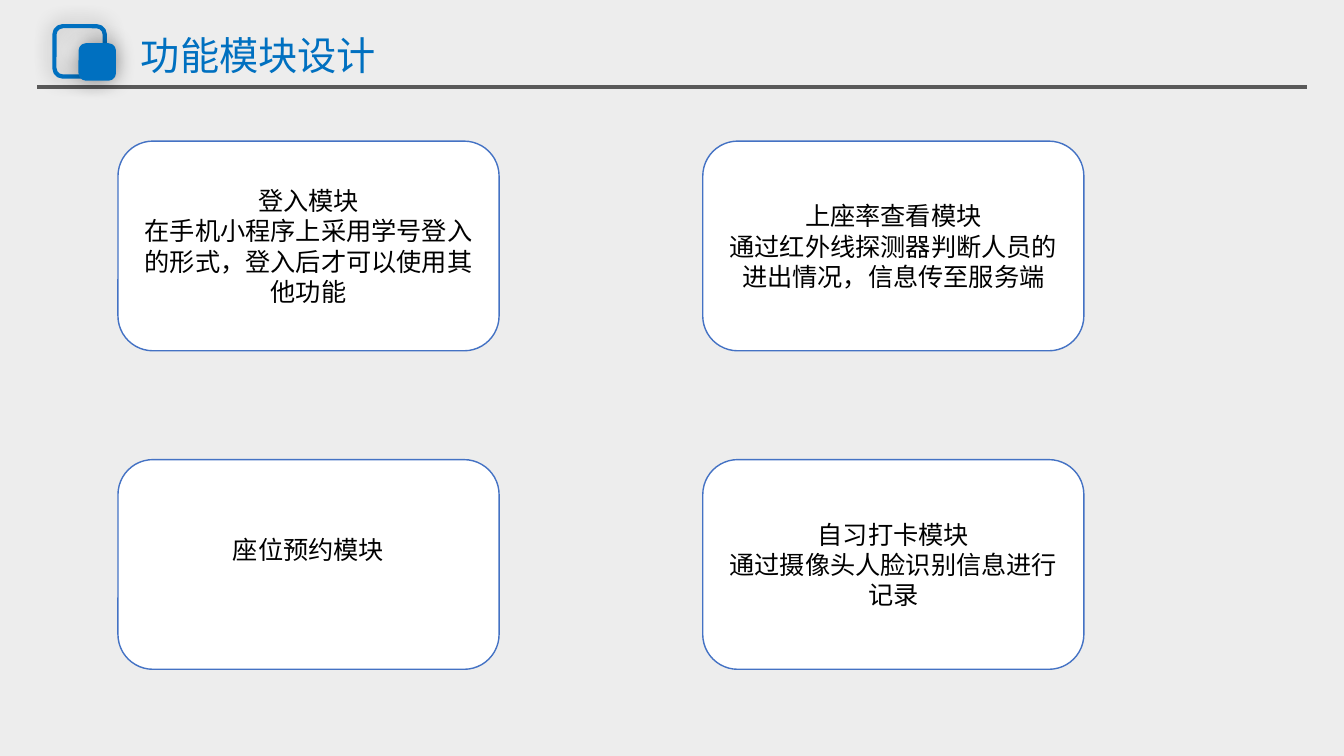
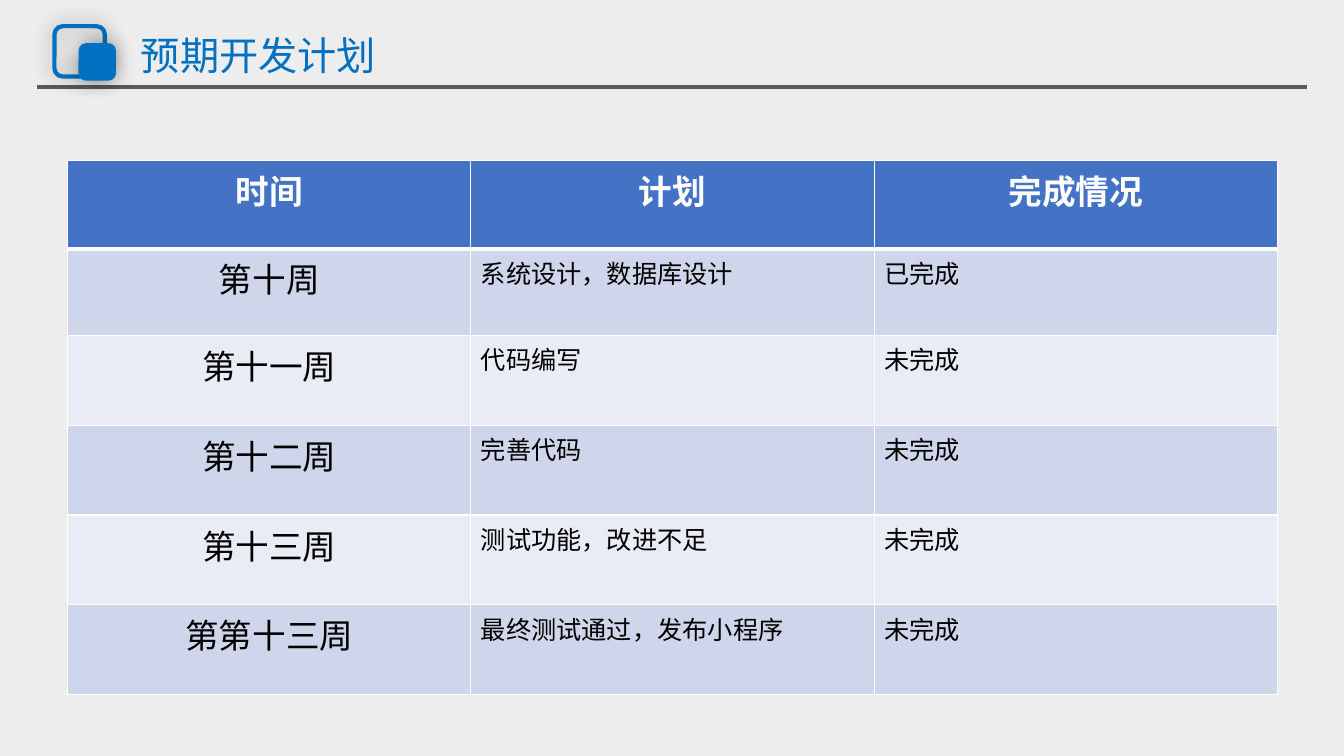
from dataclasses import dataclass

from lxml import etree
from pptx import Presentation
from pptx import util as u
from pptx.dml import color as dml
from pptx.enum import shapes, text
from pptx.oxml import ns

COLORS = {
    "background": "EDEDED",
    "accent": "0070C0",
    "rule": "595959",
    "outline": "4472C4",
    "white": "FFFFFF",
    "black": "000000",
    "band_dark": "CFD5EA",
    "band_light": "E9EBF5",
}
FONT = "Arial"
CENTER = text.PP_ALIGN.CENTER
LEFT = text.PP_ALIGN.LEFT

CARD_LEFT, CARD_TOP = 1.17, 1.4
CARD_WIDTH, CARD_HEIGHT = 3.78, 2.08
CARD_STEP_X, CARD_STEP_Y = 5.8, 3.16

COLUMN_WIDTH = 4
ROW_HEIGHTS = (0.88, 0.86, 0.89, 0.89, 0.89, 0.89)
TABLE_HEADER = ("时间", "计划", "完成情况")


@dataclass(frozen=True)
class Card:
    heading: str
    detail: str = ""


@dataclass(frozen=True)
class Task:
    week: str
    plan: str
    status: str = "未完成"


@dataclass(frozen=True)
class Square:
    left: float
    top: float
    size: float
    fill: str | None = None


LOGO_SQUARES = (Square(0.54, 0.26, 0.5), Square(0.8, 0.45, 0.33, "accent"))

CARDS = (
    Card("登入模块", "在手机小程序上采用学号登入的形式，登入后才可以使用其他功能"),
    Card("上座率查看模块", "通过红外线探测器判断人员的进出情况，信息传至服务端"),
    Card("座位预约模块"),
    Card("自习打卡模块", "通过摄像头人脸识别信息进行记录"),
)

TASKS = (
    Task("第十周", "系统设计，数据库设计", "已完成"),
    Task("第十一周", "代码编写"),
    Task("第十二周", "完善代码"),
    Task("第十三周", "测试功能，改进不足"),
    Task("第第十三周", "最终测试通过，发布小程序"),
)


def rgb(name: str) -> dml.RGBColor:
    return dml.RGBColor.from_string(COLORS[name])


def write(paragraph, content: str, *, size: float = 18, color: str = "black",
          bold: bool = False, align=LEFT, spacing: float = 1.0) -> None:
    paragraph.alignment = align
    paragraph.line_spacing = spacing
    run = paragraph.add_run()
    run.text = content
    run.font.name = FONT
    run.font.size = u.Pt(size)
    run.font.bold = bold
    run.font.color.rgb = rgb(color)


def add_rounded(slide, left: float, top: float, width: float, height: float,
                fill: str | None, line: str, weight: float):
    shape = slide.shapes.add_shape(
        shapes.MSO_SHAPE.ROUNDED_RECTANGLE,
        u.Inches(left), u.Inches(top), u.Inches(width), u.Inches(height))
    if fill:
        shape.fill.solid()
        shape.fill.fore_color.rgb = rgb(fill)
    else:
        shape.fill.background()
    shape.line.color.rgb = rgb(line)
    shape.line.width = u.Pt(weight)
    shape.shadow.inherit = False
    return shape


def add_glow(shape) -> None:
    effects = shape.element.spPr.find(ns.qn("a:effectLst"))
    shadow = etree.SubElement(effects, ns.qn("a:outerShdw"), blurRad=str(u.Pt(15)),
                              dist="0", dir="0", algn="ctr", rotWithShape="0")
    tint = etree.SubElement(shadow, ns.qn("a:srgbClr"), val=COLORS["black"])
    etree.SubElement(tint, ns.qn("a:alpha"), val="40000")


def add_titled_slide(presentation, title: str):
    slide = presentation.slides.add_slide(presentation.slide_layouts[6])
    slide.background.fill.solid()
    slide.background.fill.fore_color.rgb = rgb("background")

    rule = slide.shapes.add_connector(
        shapes.MSO_CONNECTOR.STRAIGHT,
        u.Inches(0.37), u.Inches(0.86), u.Inches(12.96), u.Inches(0.86))
    rule.line.color.rgb = rgb("rule")
    rule.line.width = u.Pt(3)
    etree.SubElement(rule.element.spPr, ns.qn("a:effectLst"))

    for square in LOGO_SQUARES:
        add_glow(add_rounded(slide, square.left, square.top, square.size, square.size,
                             square.fill, "accent", 3))

    box = slide.shapes.add_textbox(
        u.Inches(1.3), u.Inches(0.32), u.Inches(5.18), u.Inches(0.5))
    frame = box.text_frame
    frame.word_wrap = True
    frame.vertical_anchor = text.MSO_ANCHOR.MIDDLE
    write(frame.paragraphs[0], title, size=28, color="accent", spacing=0.9)
    return slide


def add_card(slide, card: Card, left: float, top: float) -> None:
    shape = add_rounded(slide, left, top, CARD_WIDTH, CARD_HEIGHT, "white", "outline", 1)
    frame = shape.text_frame
    frame.word_wrap = True
    frame.vertical_anchor = text.MSO_ANCHOR.MIDDLE
    write(frame.paragraphs[0], card.heading, align=CENTER)
    if card.detail:
        write(frame.add_paragraph(), card.detail, align=CENTER)
    else:
        frame.margin_bottom = u.Inches(0.35)


def style_cell(cell, fill: str, top: float, bottom: float) -> None:
    properties = cell._tc.get_or_add_tcPr()
    for side, weight in (("L", 1), ("R", 1), ("T", top), ("B", bottom)):
        line = etree.SubElement(properties, ns.qn(f"a:ln{side}"), w=str(u.Pt(weight)))
        solid = etree.SubElement(line, ns.qn("a:solidFill"))
        etree.SubElement(solid, ns.qn("a:srgbClr"), val=COLORS["white"])
    cell.fill.solid()
    cell.fill.fore_color.rgb = rgb(fill)


def add_plan_table(slide, tasks: tuple[Task, ...]) -> None:
    rows = [TABLE_HEADER] + [(task.week, task.plan, task.status) for task in tasks]
    columns = len(TABLE_HEADER)
    table = slide.shapes.add_table(
        len(rows), columns, u.Inches(0.67), u.Inches(1.59),
        u.Inches(COLUMN_WIDTH * columns), u.Inches(sum(ROW_HEIGHTS))).table
    for column in table.columns:
        column.width = u.Inches(COLUMN_WIDTH)
    for row_index, (values, height) in enumerate(zip(rows, ROW_HEIGHTS)):
        table.rows[row_index].height = u.Inches(height)
        header = row_index == 0
        band = "band_dark" if row_index % 2 else "band_light"
        for column_index, value in enumerate(values):
            cell = table.cell(row_index, column_index)
            style_cell(cell, "outline" if header else band,
                       top=3 if row_index == 1 else 1, bottom=3 if header else 1)
            prominent = header or column_index == 0
            write(cell.text_frame.paragraphs[0], value,
                  size=24 if prominent else 18,
                  color="white" if header else "black",
                  bold=header, align=CENTER if prominent else LEFT)


def main() -> None:
    presentation = Presentation()
    presentation.slide_width = u.Inches(13.33)
    presentation.slide_height = u.Inches(7.5)

    modules_slide = add_titled_slide(presentation, "功能模块设计")
    for index, card in enumerate(CARDS):
        row, column = divmod(index, 2)
        add_card(modules_slide, card,
                 CARD_LEFT + column * CARD_STEP_X, CARD_TOP + row * CARD_STEP_Y)

    plan_slide = add_titled_slide(presentation, "预期开发计划")
    add_plan_table(plan_slide, TASKS)

    presentation.save("out.pptx")


if __name__ == "__main__":
    main()
